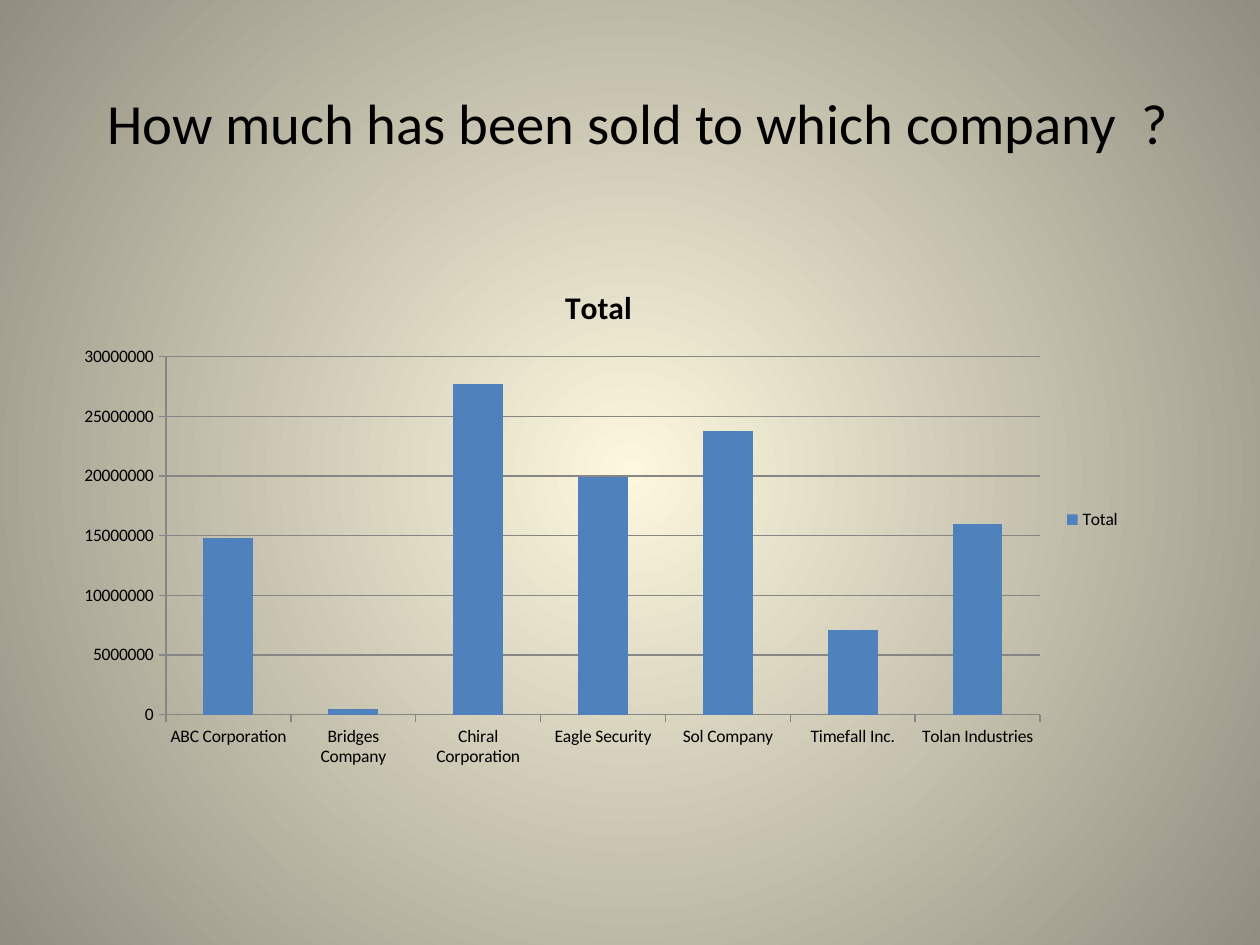
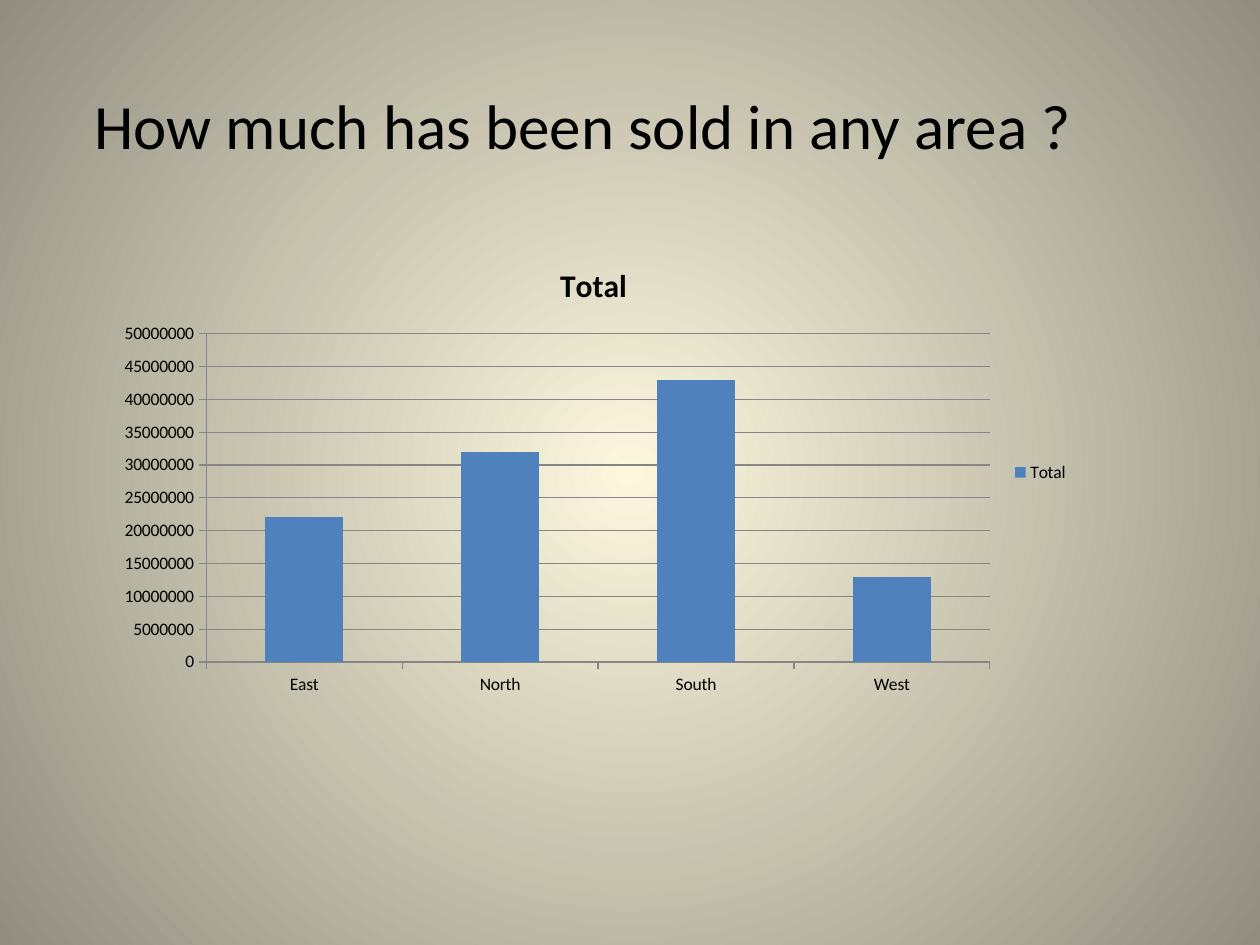
from dataclasses import dataclass

from lxml.etree import SubElement
from pptx import Presentation
from pptx.chart.data import CategoryChartData as ChartData
from pptx.dml.color import RGBColor as Rgb
from pptx.enum.chart import XL_CHART_TYPE as ChartType
from pptx.enum.chart import XL_LEGEND_POSITION as LegendPosition
from pptx.enum.chart import XL_TICK_MARK as TickMark
from pptx.enum.text import MSO_ANCHOR as Anchor
from pptx.enum.text import PP_ALIGN as Align
from pptx.oxml.ns import qn
from pptx.util import Cm, Pt


@dataclass(frozen=True)
class Theme:
    font: str = "Calibri"
    ink: Rgb = Rgb.from_string("000000")
    bar: Rgb = Rgb.from_string("4F81BD")
    rule: Rgb = Rgb.from_string("868686")
    glow: Rgb = Rgb.from_string("FCF7DD")
    edge: Rgb = Rgb.from_string("918E81")
    lead_size: float = 39.6
    long_question_size: float = 32.4
    question_size: float = 36
    chart_title_size: float = 18
    label_size: float = 10


THEME = Theme()
BLANK_LAYOUT = 6

COMPANY_SALES = {
    "ABC Corporation": 14800000,
    "Bridges Company": 500000,
    "Chiral Corporation": 27700000,
    "Eagle Security": 19900000,
    "Sol Company": 23800000,
    "Timefall Inc.": 7100000,
    "Tolan Industries": 16000000,
}
AREA_SALES = {
    "East": 22000000,
    "North": 32000000,
    "South": 43000000,
    "West": 13000000,
}


def style_font(font, size, bold=False):
    font.name = THEME.font
    font.size = Pt(size)
    font.bold = bold
    font.color.rgb = THEME.ink


def write(paragraph, text, *, size, bold=False):
    run = paragraph.add_run()
    run.text = text
    style_font(run.font, size, bold)


def paint_background(master):
    fill = master.background.fill
    fill.gradient()
    for stop, color in zip(fill.gradient_stops, (THEME.glow, THEME.edge)):
        stop.color.rgb = color
    gradient = master.element.find(".//" + qn("p:bg")).find(".//" + qn("a:gradFill"))
    gradient.remove(gradient.find(qn("a:lin")))
    circle = SubElement(gradient, qn("a:path"), path="circle")
    SubElement(circle, qn("a:fillToRect"), l="50000", t="50000", r="50000", b="50000")


def add_question(slide, box, parts):
    frame = slide.shapes.add_textbox(*map(Cm, box)).text_frame
    frame.word_wrap = True
    frame.vertical_anchor = Anchor.MIDDLE
    question = frame.paragraphs[0]
    question.alignment = Align.CENTER
    for text, size in parts:
        write(question, text, size=size)


def add_sales_chart(slide, box, sales):
    data = ChartData()
    data.categories = list(sales)
    data.add_series("Total", list(sales.values()))
    chart = slide.shapes.add_chart(ChartType.COLUMN_CLUSTERED, *map(Cm, box), data).chart
    style_font(chart.font, THEME.label_size)

    chart.has_title = True
    heading = chart.chart_title.text_frame.paragraphs[0]
    write(heading, "Total", size=THEME.chart_title_size, bold=True)
    chart.chart_title.include_in_layout = False
    chart.has_legend = True
    chart.legend.position = LegendPosition.RIGHT
    chart.legend.include_in_layout = False

    chart.value_axis.has_major_gridlines = True
    rules = [chart.value_axis.major_gridlines.format.line]
    for axis in (chart.category_axis, chart.value_axis):
        axis.major_tick_mark = TickMark.OUTSIDE
        axis.minor_tick_mark = TickMark.NONE
        rules.append(axis.format.line)
    for rule in rules:
        rule.color.rgb = THEME.rule
        rule.width = Pt(0.75)

    columns = chart.plots[0]
    columns.vary_by_categories = False
    columns.gap_width = 150
    bar_fill = columns.series[0].format.fill
    bar_fill.solid()
    bar_fill.fore_color.rgb = THEME.bar


def add_sales_slide(deck, question_box, question, chart_box, sales):
    slide = deck.slides.add_slide(deck.slide_layouts[BLANK_LAYOUT])
    add_question(slide, question_box, question)
    add_sales_chart(slide, chart_box, sales)


def main():
    deck = Presentation()
    deck.slide_width, deck.slide_height = Cm(25.4), Cm(19.05)
    paint_background(deck.slide_master)
    add_sales_slide(
        deck,
        (1.27, 0.76, 22.86, 3.18),
        [
            (" ", THEME.lead_size),
            ("How much has been sold to which company  ?", THEME.long_question_size),
        ],
        (1.27, 5.29, 21.59, 10.37),
        COMPANY_SALES,
    )
    add_sales_slide(
        deck,
        (1.27, 0.76, 20.96, 3.48),
        [("How much has been sold in any area ?", THEME.question_size)],
        (2.12, 4.87, 19.69, 9.31),
        AREA_SALES,
    )
    deck.save("out.pptx")


if __name__ == "__main__":
    main()
